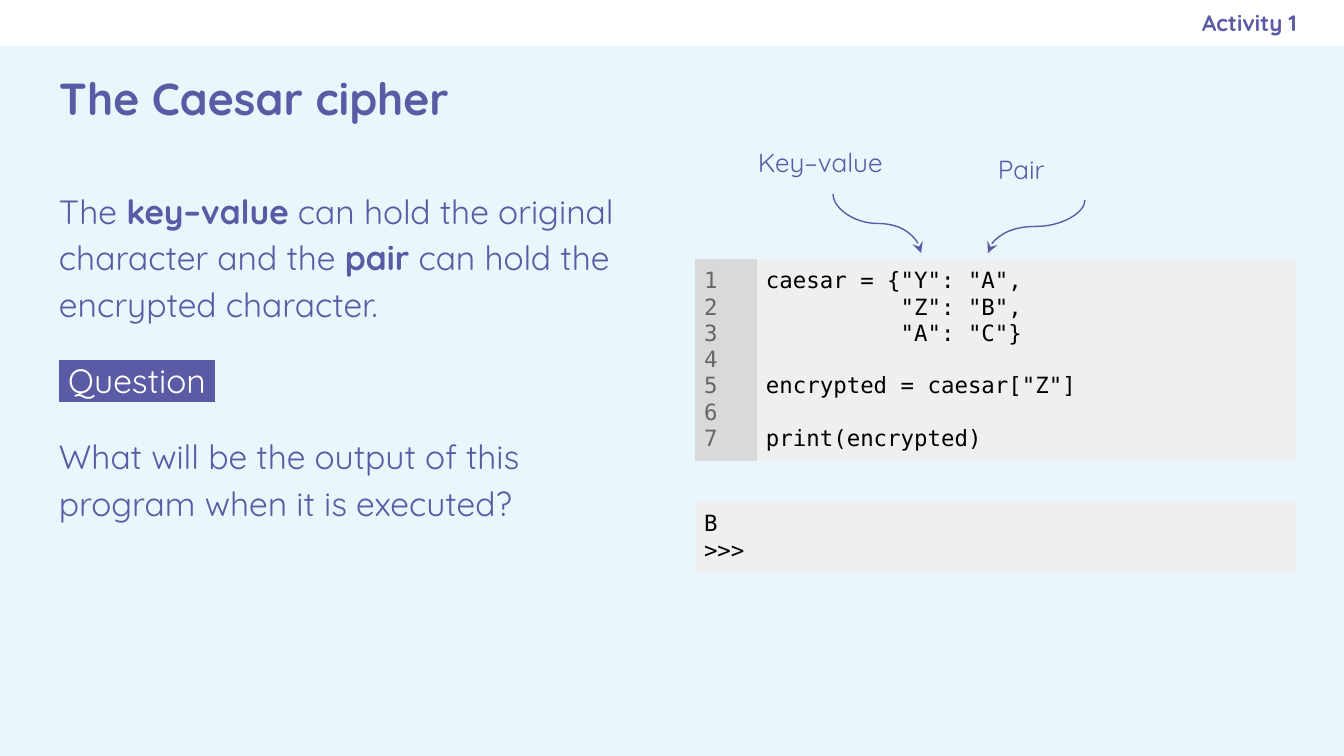
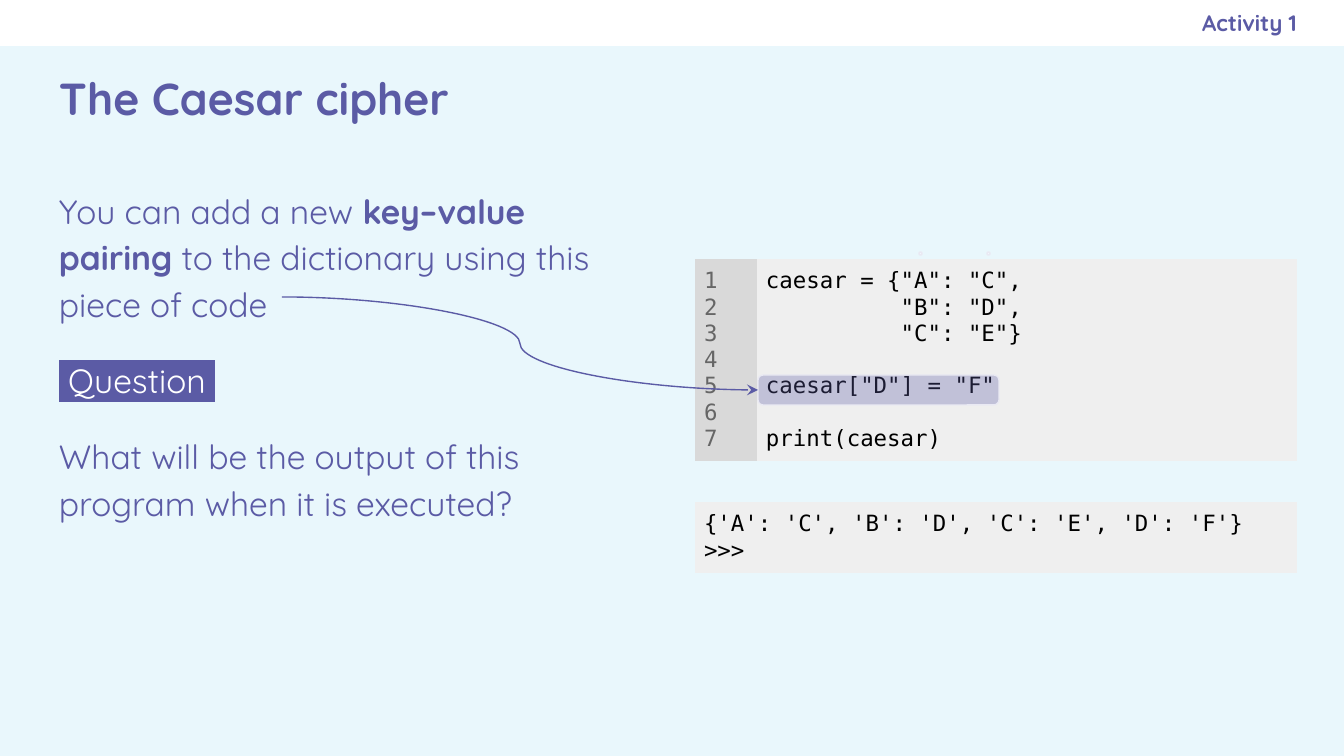
import lxml.etree
import pptx
import pptx.dml.color
import pptx.enum.shapes
import pptx.enum.text
import pptx.oxml.ns
import pptx.util

SCALE = 914400 / 134.4
PURPLE, SKY, WHITE, BLACK = "5B5BA5", "E9F7FC", "FFFFFF", "000000"
GREY, GUTTER, PANEL = "666666", "D9D9D9", "EFEFEF"
DOT, EDGE = "F2F6FC", "E9E9F3"
SANS, MONO = "Quicksand", "DejaVu Sans Mono"
PLAIN = "{2D5ABB26-0587-4C30-8999-92F81FD0307C}"
KIND = pptx.enum.shapes.MSO_SHAPE
ALIGN = pptx.enum.text.PP_ALIGN
MIDDLE = pptx.enum.text.MSO_ANCHOR.MIDDLE
TOP = pptx.enum.text.MSO_ANCHOR.TOP
qn = pptx.oxml.ns.qn


def px(n):
    return pptx.util.Emu(round(n * SCALE))


def color(code):
    return pptx.dml.color.RGBColor.from_string(code)


def apply(item, form):
    for key, value in form.items():
        setattr(item, key, value)


def paint(fill, code):
    fill.solid()
    fill.fore_color.rgb = color(code)


def node(parent, tag, **attrs):
    return lxml.etree.SubElement(parent, qn(tag), **attrs)


def write(para, text, size, code=PURPLE, bold=False, face=SANS, mark=None):
    if not text:
        end = node(para._p, "a:endParaRPr", sz=str(size * 100))
        node(end, "a:latin", typeface=face)
        return
    run = para.add_run()
    run.text = text
    apply(run.font, {"size": pptx.util.Pt(size), "bold": bold, "name": face})
    run.font.color.rgb = color(code)
    if mark:
        props = run._r.get_or_add_rPr()
        light = node(props, "a:highlight")
        node(light, "a:srgbClr", val=mark)
        props.find(qn("a:solidFill")).addnext(light)


def frame(shape, anchor=TOP, right=13):
    text = shape.text_frame
    apply(text, {
        "word_wrap": True,
        "auto_size": pptx.enum.text.MSO_AUTO_SIZE.NONE,
        "vertical_anchor": anchor,
        "margin_left": px(13), "margin_top": px(13),
        "margin_right": px(right), "margin_bottom": px(13),
    })
    return text


def box(slide, *area):
    return slide.shapes.add_textbox(*map(px, area))


def block(slide, kind, area, fill, edge=None):
    shape = slide.shapes.add_shape(kind, *map(px, area))
    shape.shadow.inherit = False
    paint(shape.fill, fill)
    if edge:
        paint(shape.line.fill, edge)
        shape.line.width = pptx.util.Pt(0.75)
    else:
        shape.line.fill.background()
    return shape


def label(slide, text, *area):
    para = frame(box(slide, *area)).paragraphs[0]
    para.line_spacing = 1.15
    write(para, text, 14)


def body(slide, lead):
    text = frame(box(slide, 46, 172, 602, 538))
    parts = [
        lead,
        [(" Question ", {"code": WHITE, "mark": PURPLE})],
        [("What will be the output of this program when it is executed?", {})],
    ]
    for i, runs in enumerate(parts):
        para = text.add_paragraph() if i else text.paragraphs[0]
        para.line_spacing = 1.15
        if i:
            para.space_before = pptx.util.Pt(16)
        for words, form in runs:
            write(para, words, 18, **form)


def grid(slide, top, high, cols):
    wide = sum(col[0] for col in cols)
    area = map(px, (695, top, wide, high))
    table = slide.shapes.add_table(1, len(cols), *area).table
    apply(table, {"first_row": False, "horz_banding": False})
    table._tbl.tblPr.find(qn("a:tableStyleId")).text = PLAIN
    for i, (width, lines, fill, ink) in enumerate(cols):
        table.columns[i].width = px(width)
        cell = table.cell(0, i)
        paint(cell.fill, fill)
        sides = ("left", "top", "right", "bottom")
        apply(cell, {f"margin_{side}": px(9) for side in sides})
        text = cell.text_frame
        for n, line in enumerate(lines):
            para = text.add_paragraph() if n else text.paragraphs[0]
            write(para, line, 12, ink, face=MONO)


def code(slide, lines, result):
    count = [str(n + 1) for n in range(len(lines))]
    grid(slide, 259, 202, [(62, count, GUTTER, GREY),
                           (540, lines, PANEL, BLACK)])
    grid(slide, 502, 71, [(602, [result, ">>>"], PANEL, BLACK)])
    for left in (919, 987):
        block(slide, KIND.OVAL, (left, 252, 3, 3), DOT, EDGE)


def curve(slide, x1, y1, x2, y2):
    kind = pptx.enum.shapes.MSO_CONNECTOR.CURVE
    line = slide.shapes.add_connector(kind, *map(px, (x1, y1, x2, y2)))
    paint(line.line.fill, PURPLE)
    line.line.width = pptx.util.Pt(0.75)
    node(line.line._get_or_add_ln(), "a:tailEnd", type="stealth")
    node(line._element.spPr, "a:effectLst")
    return line


def drop(slide, x1, y1, x2, y2):
    mid, half = (x1 + x2) / 2, (y2 - y1) / 2
    cy, reach = (y1 + y2) / 2, abs(x2 - x1) / 2
    side = 1 if x2 > x1 else -1
    line = curve(slide, mid + side * half, cy - reach,
                 mid - side * half, cy + reach)
    line.rotation = 0
    turn = 270 if side > 0 else 90
    line._element.spPr.find(qn("a:xfrm")).set("rot", str(turn * 60000))


def start(deck):
    slide = deck.slides.add_slide(deck.slide_layouts[5])
    block(slide, KIND.RECTANGLE, (0, 0, 1344, 46), WHITE)
    title = slide.shapes.title
    spot = zip(("left", "top", "width", "height"), (46, 47, 1253, 102))
    apply(title, {key: px(n) for key, n in spot})
    para = frame(title, MIDDLE).paragraphs[0]
    para.alignment = ALIGN.LEFT
    write(para, "The Caesar cipher", 24, bold=True)
    tag = frame(box(slide, 773, 0, 524, 46), MIDDLE, 0).paragraphs[0]
    tag.alignment = ALIGN.RIGHT
    write(tag, "Activity 1", 12, bold=True)
    return slide


def lookup(deck):
    slide = start(deck)
    body(slide, [
        ("The ", {}), ("key–value", {"bold": True}),
        (" can hold the original character and the ", {}),
        ("pair", {"bold": True}),
        (" can hold the encrypted character.", {}),
    ])
    code(slide, [
        'caesar = {"Y": "A",',
        '          "Z": "B",',
        '          "A": "C"}',
        "",
        'encrypted = caesar["Z"]',
        "",
        "print(encrypted)",
    ], "B")
    label(slide, "Key–value", 745, 129, 176, 65)
    label(slide, "Pair", 985, 136, 198, 65)
    drop(slide, 833, 194, 921, 253)
    drop(slide, 1085, 200, 988, 253)


def insert(deck):
    slide = start(deck)
    body(slide, [
        ("You can add a new ", {}), ("key–value pairing", {"bold": True}),
        (" to the dictionary using this piece of code", {}),
    ])
    code(slide, [
        'caesar = {"A": "C",',
        '          "B": "D",',
        '          "C": "E"}',
        "",
        'caesar["D"] = "F"',
        "",
        "print(caesar)",
    ], "{'A': 'C', 'B': 'D', 'C': 'E', 'D': 'F'}")
    glow = block(slide, KIND.ROUNDED_RECTANGLE, (758, 375, 241, 30),
                 PURPLE, EDGE)
    glow.adjustments[0] = 0.17
    tint = glow._element.spPr.find(qn("a:solidFill"))[0]
    node(tint, "a:alpha", val="31000")
    curve(slide, 282, 297, 758, 390)


def main():
    deck = pptx.Presentation()
    apply(deck, {"slide_width": px(1344), "slide_height": px(756)})
    paint(deck.slide_master.background.fill, SKY)
    lookup(deck)
    insert(deck)
    deck.save("out.pptx")


if __name__ == "__main__":
    main()
